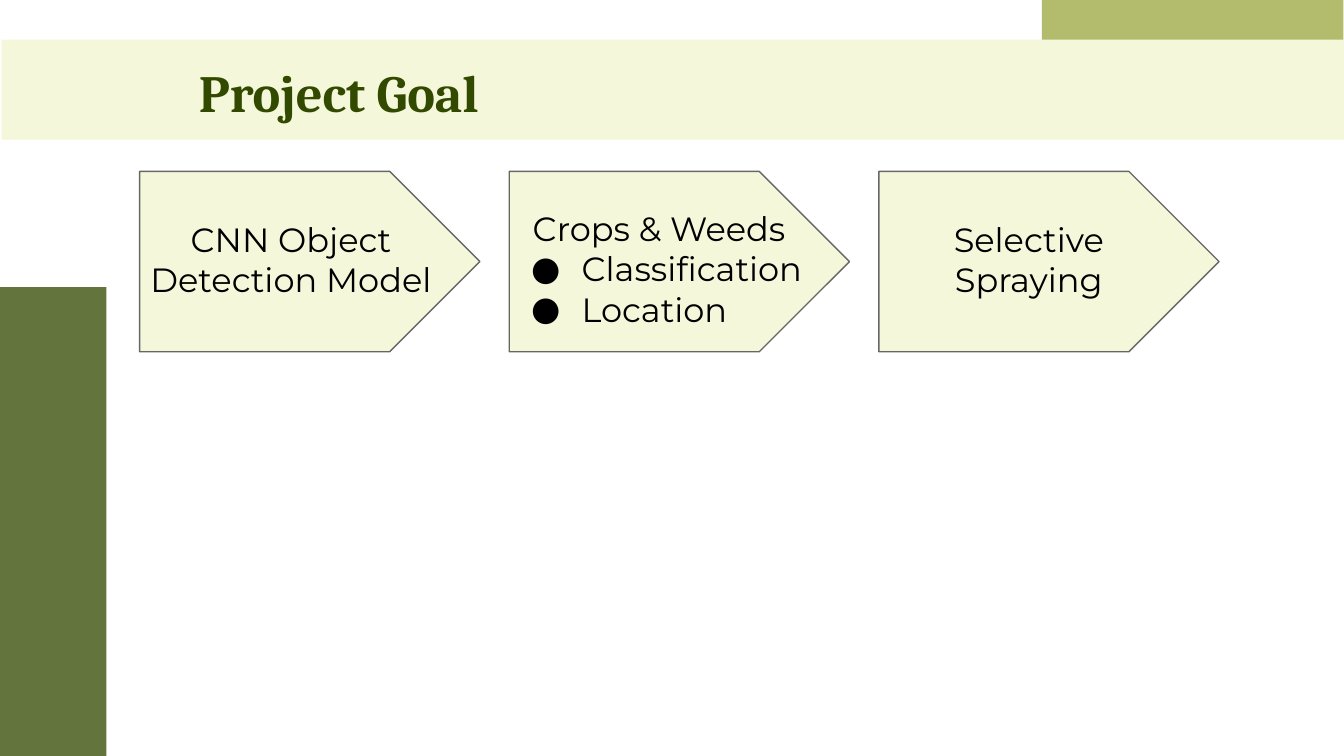
"""Build the Project Goal slide: a three-step arrow flow under a title band."""
from dataclasses import dataclass

from lxml import etree
from pptx import Presentation, util as u
from pptx.dml.color import RGBColor
from pptx.enum import shapes, text
from pptx.oxml.ns import qn

Cm, Pt = u.Cm, u.Pt


@dataclass(frozen=True)
class Theme:
    dark: str = "324A00"
    olive: str = "7C8C03"
    pale: str = "F4F7DA"
    outline: str = "666666"
    ink: str = "000000"
    title_font: str = "Cambria"
    body_font: str = "Montserrat"
    title_size: int = 28
    body_size: int = 18


theme = Theme()
TITLE = {"name": theme.title_font, "size": Pt(theme.title_size), "bold": True}
BODY = {"name": theme.body_font, "size": Pt(theme.body_size), "bold": False}
FRAME = {"word_wrap": True, "auto_size": text.MSO_AUTO_SIZE.NONE,
         "vertical_anchor": text.MSO_ANCHOR.TOP}
FRAME.update({f"margin_{side}": Cm(0.25) for side in ("left", "top", "right", "bottom")})
LEFT, CENTER = text.PP_ALIGN.LEFT, text.PP_ALIGN.CENTER


def add_block(s, kind, box, color, alpha=None):
    sp = s.shapes.add_shape(kind, *map(Cm, box))
    sp.shadow.inherit = False
    sp.fill.solid()
    sp.fill.fore_color.rgb = RGBColor.from_string(color)
    sp.line.fill.background()
    if alpha:
        clr = sp.element.spPr.find(qn("a:solidFill"))[0]
        etree.SubElement(clr, qn("a:alpha"), val=str(alpha * 1000))
    return sp


def fill_text(sp, box, lines, fmt, color, align):
    for name, value in zip(("left", "top", "width", "height"), box):
        setattr(sp, name, Cm(value))
    tf = sp.text_frame
    for name, value in FRAME.items():
        setattr(tf, name, value)
    for i, line in enumerate(lines):
        p = tf.add_paragraph() if i else tf.paragraphs[0]
        p.alignment = align
        p.space_before = Pt(0)
        r = p.add_run()
        r.text = line
        for name, value in fmt.items():
            setattr(r.font, name, value)
        r.font.color.rgb = RGBColor.from_string(color)
    return tf


prs = Presentation()
prs.slide_width, prs.slide_height = Cm(25.4), Cm(14.29)
s = prs.slides.add_slide(prs.slide_layouts[1])
title, body = s.placeholders

rect, arrow = shapes.MSO_SHAPE.RECTANGLE, shapes.MSO_SHAPE.PENTAGON
add_block(s, rect, (19.69, 0, 5.7, 0.97), theme.olive, 58)
add_block(s, rect, (0, 5.43, 2.01, 8.86), theme.dark, 76)
add_block(s, rect, (0.03, 0.75, 25.37, 1.89), theme.pale)

for i in range(3):
    sp = add_block(s, arrow, (2.64 + 6.985 * i, 3.24, 6.43, 3.41), theme.pale)
    sp.line.color.rgb = RGBColor.from_string(theme.outline)
    sp.line.width = Pt(0.75)

for sp in (title, body):
    s.shapes.element.append(sp.element)

fill_text(title, (3.51, 0.89, 7.24, 1.7), ["Project Goal"], TITLE, theme.dark, LEFT)
steps = [
    ((2.44, 3.89, 6.12, 2.06), "CNN Object Detection Model"),
    ((16.79, 3.89, 5.31, 2.06), "Selective Spraying"),
]
for box, label in steps:
    sp = s.shapes.add_textbox(*map(Cm, box))
    fill_text(sp, box, [label], BODY, theme.ink, CENTER)

outputs = ["Crops & Weeds", "Classification", "Location"]
tf = fill_text(body, (9.47, 3.68, 5.97, 2.82), outputs, BODY, theme.ink, LEFT)
heading, *items = tf.paragraphs
heading.alignment = CENTER
pPr = heading.runs[0].font._element.getparent().getparent().get_or_add_pPr()
pPr.set("marL", "0")
pPr.set("indent", "0")
etree.SubElement(pPr, qn("a:buNone"))
for p in items:
    pPr = p._p.get_or_add_pPr()
    pPr.set("marL", str(Cm(1.27)))
    pPr.set("indent", str(Cm(-0.95)))
    clr = etree.SubElement(pPr, qn("a:buClr"))
    etree.SubElement(clr, qn("a:srgbClr"), val=theme.ink)
    etree.SubElement(pPr, qn("a:buFont"), typeface=theme.body_font)
    etree.SubElement(pPr, qn("a:buChar"), char="●")

prs.save("out.pptx")
